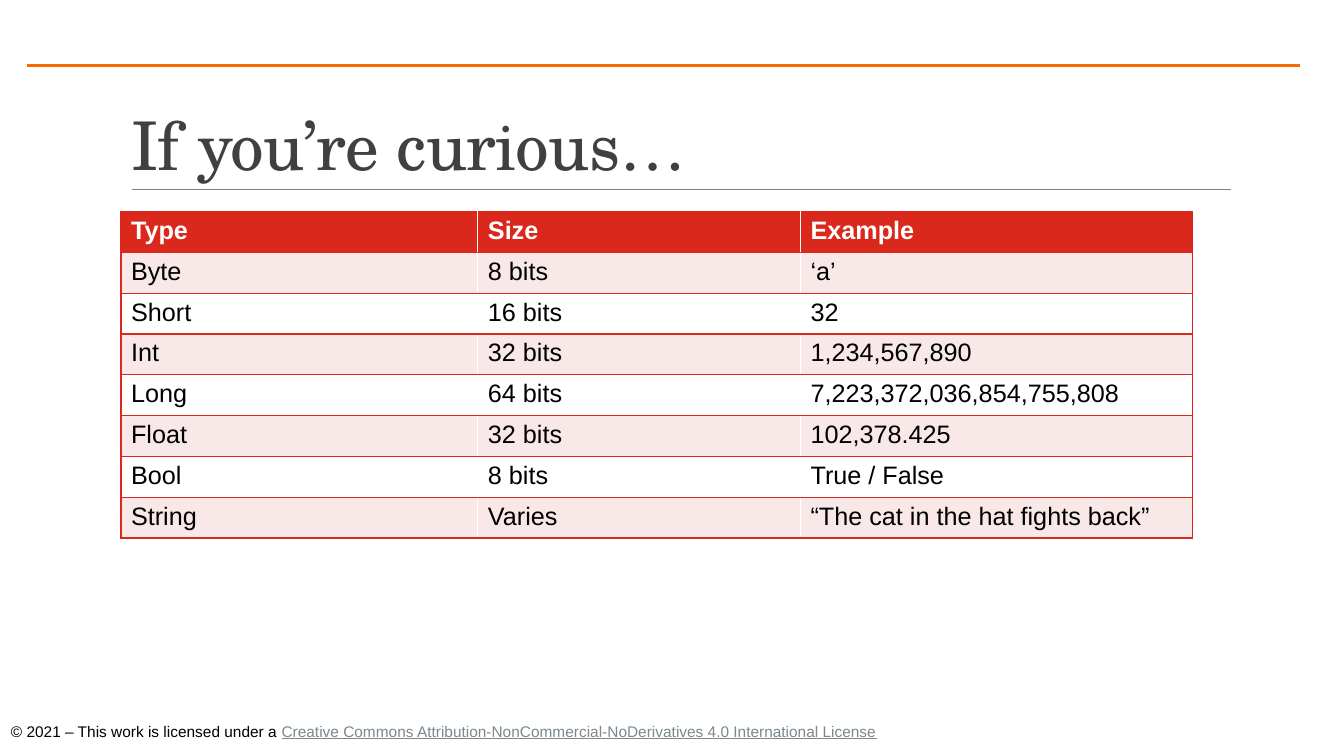
from lxml.etree import SubElement
from pptx import Presentation
from pptx.dml.color import RGBColor
from pptx.enum.shapes import MSO_CONNECTOR
from pptx.enum.text import MSO_ANCHOR, MSO_AUTO_SIZE
from pptx.oxml.ns import qn
from pptx.util import Inches, Pt

RED = RGBColor(0xDA, 0x29, 0x1C)
PINK = RGBColor(0xF8, 0xE8, 0xE8)
ORANGE = RGBColor(0xF7, 0x69, 0x02)
WHITE = RGBColor(0xFF, 0xFF, 0xFF)
BLACK = RGBColor(0, 0, 0)
CHARCOAL = RGBColor(0x40, 0x40, 0x40)
GRAY = RGBColor(0x80, 0x80, 0x80)
LINK_GRAY = RGBColor(0x7C, 0x87, 0x8E)

TYPE_ROWS = [
    ("Type", "Size", "Example"),
    ("Byte", "8 bits", "‘a’"),
    ("Short", "16 bits", "32"),
    ("Int", "32 bits", "1,234,567,890"),
    ("Long", "64 bits", "7,223,372,036,854,755,808"),
    ("Float", "32 bits", "102,378.425"),
    ("Bool", "8 bits", "True / False"),
    ("String", "Varies", "“The cat in the hat fights back”"),
]
COLUMN_WIDTHS = (3.54, 3.2, 3.89)
ROW_HEIGHT = 0.405


def add_text(para, text, size=18, color=BLACK, font="Arial", bold=False,
             underline=False, spacing=None):
    span = para.add_run()
    span.text = text
    span.font.name = font
    span.font.size = Pt(size)
    span.font.bold = bold
    span.font.underline = underline
    span.font.color.rgb = color
    if spacing is not None:
        span.font._element.set("spc", str(int(spacing * 100)))


def add_border(cell, side, color, width):
    line = SubElement(cell._tc.get_or_add_tcPr(), qn(f"a:ln{side}"), w=str(Pt(width)))
    fill = SubElement(line, qn("a:solidFill"))
    SubElement(fill, qn("a:srgbClr"), val=str(color))


class SlideBuilder:
    def __init__(self, slide):
        self.slide = slide
        self.shapes = slide.shapes

    def title(self, text, left, top, width, height):
        box = self.shapes.title
        box.left, box.top = Inches(left), Inches(top)
        box.width, box.height = Inches(width), Inches(height)
        frame = box.text_frame
        frame.word_wrap = True
        frame.auto_size = MSO_AUTO_SIZE.NONE
        frame.vertical_anchor = MSO_ANCHOR.BOTTOM
        para = frame.paragraphs[0]
        para.alignment = 1
        para.line_spacing = 0.85
        add_text(para, text, size=48, color=CHARCOAL, font="TeX Gyre Schola", spacing=-0.5)

    def rule(self, left, right, top, color, width):
        line = self.shapes.add_connector(
            MSO_CONNECTOR.STRAIGHT, Inches(left), Inches(top), Inches(right), Inches(top))
        line.line.color.rgb = color
        line.line.width = Pt(width)
        SubElement(line._element.spPr, qn("a:effectLst"))

    def footer(self, notice, license_name, left, top, width, height):
        box = self.shapes.add_textbox(Inches(left), Inches(top), Inches(width), Inches(height))
        frame = box.text_frame
        frame.word_wrap = False
        frame.auto_size = MSO_AUTO_SIZE.SHAPE_TO_FIT_TEXT
        para = frame.paragraphs[0]
        add_text(para, notice, size=11)
        add_text(para, license_name, size=11, color=LINK_GRAY, underline=True)

    def table(self, rows, widths, left, top, row_height):
        table = self.shapes.add_table(
            len(rows), len(widths), Inches(left), Inches(top),
            Inches(sum(widths)), Inches(row_height * len(rows))).table
        for column, width in zip(table.columns, widths):
            column.width = Inches(width)
        for row_index, row in enumerate(rows):
            table.rows[row_index].height = Inches(row_height)
            header = row_index == 0
            fill = RED if header else PINK if row_index % 2 else WHITE
            for column_index, text in enumerate(row):
                cell = table.cell(row_index, column_index)
                # Only the outer columns have side borders
                sides = ["L"] if column_index == 0 else []
                sides += ["R"] if column_index == len(widths) - 1 else []
                for side in sides + ["T", "B"]:
                    add_border(cell, side, RED, 1)
                cell.fill.solid()
                cell.fill.fore_color.rgb = fill
                add_text(cell.text_frame.paragraphs[0], text,
                         color=WHITE if header else BLACK, bold=header)


def main():
    deck = Presentation()
    deck.slide_width, deck.slide_height = Inches(13.33), Inches(7.5)
    page = SlideBuilder(deck.slides.add_slide(deck.slide_layouts[5]))

    # Rules and licence notice
    page.rule(1.31, 12.21, 1.88, GRAY, 0.5)
    page.footer("© 2021 – This work is licensed under a ",
                "Creative Commons Attribution-NonCommercial-NoDerivatives 4.0 "
                "International License", 0.01, 7.11, 8.85, 0.29)
    page.rule(0.27, 12.89, 0.65, ORANGE, 1.5)

    # Title and table of data types
    page.title("If you’re curious…", 1.2, 1.05, 11, 0.83)
    page.table(TYPE_ROWS, COLUMN_WIDTHS, 1.2, 2.1, ROW_HEIGHT)

    deck.save("out.pptx")


if __name__ == "__main__":
    main()
